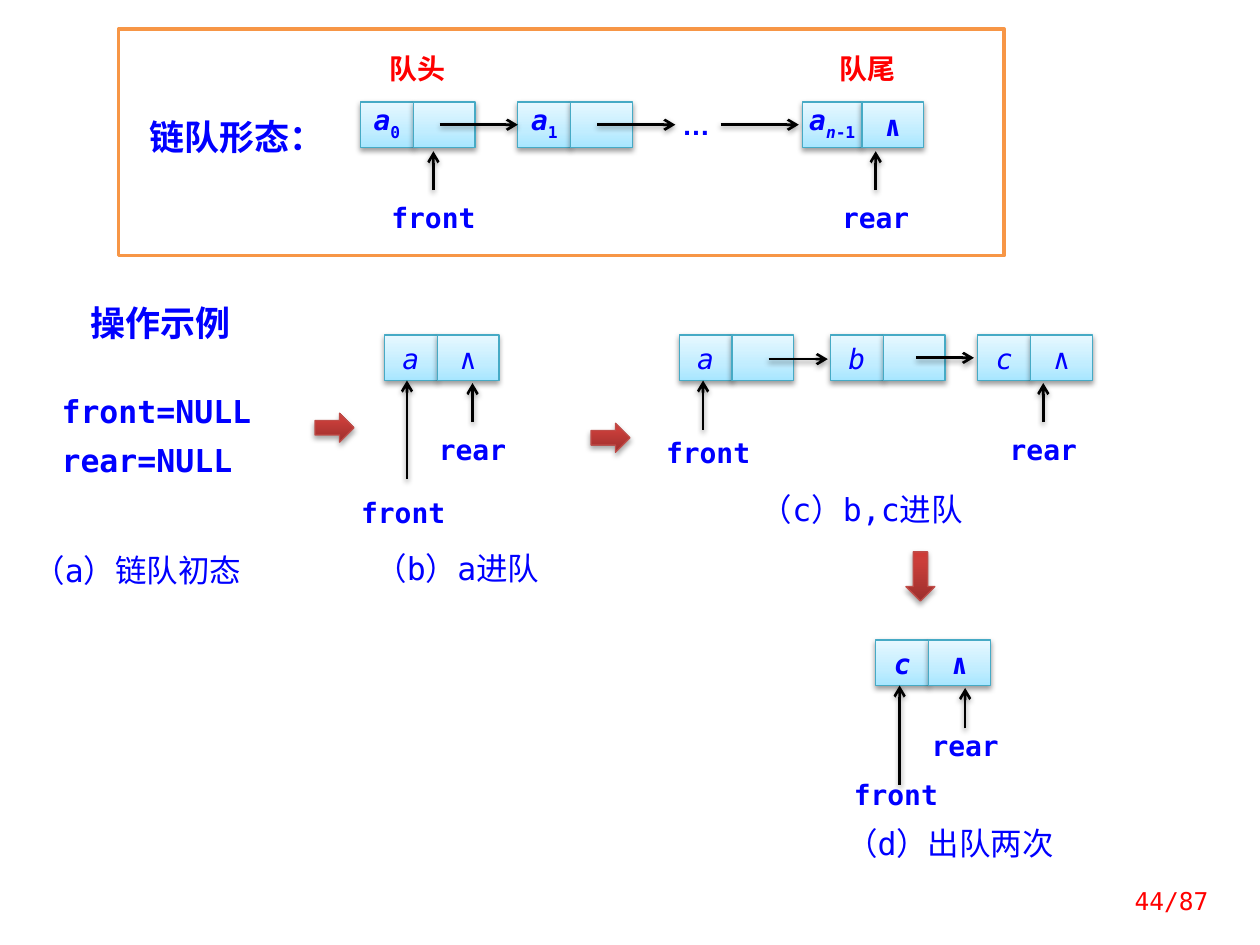
from dataclasses import dataclass
from typing import Any

from lxml import etree
from pptx import Presentation
from pptx.dml.color import RGBColor
from pptx.enum.lang import MSO_LANGUAGE_ID
from pptx.enum.shapes import MSO_CONNECTOR, MSO_SHAPE
from pptx.enum.text import MSO_ANCHOR, PP_ALIGN
from pptx.oxml.ns import qn
from pptx.util import Inches, Pt

RECTANGLE = MSO_SHAPE.RECTANGLE
RIGHT_ARROW = MSO_SHAPE.RIGHT_ARROW
DOWN_ARROW = MSO_SHAPE.DOWN_ARROW
STRAIGHT = MSO_CONNECTOR.STRAIGHT
LEFT = PP_ALIGN.LEFT
CENTER = PP_ALIGN.CENTER
RIGHT = PP_ALIGN.RIGHT
TOP = MSO_ANCHOR.TOP
MIDDLE = MSO_ANCHOR.MIDDLE
CHINESE = MSO_LANGUAGE_ID.SIMPLIFIED_CHINESE

CELL_STOPS = [(0, "A7E6FF"), (35, "C1EDFF"), (100, "E7F8FF")]
BLOCK_STOPS = [(0, "9C2F2D"), (80, "CB3E3A"), (100, "CE3B37")]


def color(value):
    return RGBColor.from_string(value)


def add_element(parent, name, **attributes):
    values = {key: str(value) for key, value in attributes.items()}
    return etree.SubElement(parent, qn(name), values)


def add_shadow(shape, opacity=38, distance=1.6):
    properties = shape._element.spPr
    effects = properties.find(qn("a:effectLst"))
    if effects is None:
        effects = add_element(properties, "a:effectLst")
    outer = add_element(effects, "a:outerShdw", blurRad=Pt(3.1), dist=Pt(distance),
                        dir=90 * 60000, rotWithShape=0)
    black = add_element(outer, "a:srgbClr", val="000000")
    add_element(black, "a:alpha", val=opacity * 1000)


def fill_gradient(shape, stops):
    shape.fill.gradient()
    gradient = shape._element.spPr.find(qn("a:gradFill"))
    for child in list(gradient):
        gradient.remove(child)
    stop_list = add_element(gradient, "a:gsLst")
    for position, value in stops:
        stop = add_element(stop_list, "a:gs", pos=position * 1000)
        add_element(stop, "a:srgbClr", val=value)
    add_element(gradient, "a:lin", ang=270 * 60000, scaled=0)


def write(frame, *lines, size=16, font="DejaVu Sans Mono", fill="0000FF", bold=False,
          align=CENTER, spacing=None, inset=0.0, anchor=TOP):
    frame.word_wrap = True
    frame.vertical_anchor = anchor
    frame.margin_left = frame.margin_right = Inches(inset)
    frame.margin_top = frame.margin_bottom = Inches(inset / 2)
    for index, line in enumerate(lines):
        para = frame.add_paragraph() if index else frame.paragraphs[0]
        para.alignment = align
        para.line_spacing = spacing
        for text, style in ([(line, "")] if isinstance(line, str) else line):
            span = para.add_run()
            span.text = text
            span.font.size = Pt(size)
            span.font.name = font
            span.font.bold = bold
            span.font.italic = "italic" in style
            span.font.color.rgb = color(fill)
            span.font.language_id = CHINESE
            properties = span._r.get_or_add_rPr()
            add_element(properties, "a:ea", typeface=font)
            if "sub" in style:
                properties.set("baseline", "-30000")


@dataclass
class QueueSlide:
    page: Any
    link_width: float = 0.49
    cell_height: float = 0.36

    def shape(self, kind, left, top, width, height):
        box = self.page.shapes.add_shape(
            kind, Inches(left), Inches(top), Inches(width), Inches(height))
        box.shadow.inherit = False
        return box

    def frame(self, left, top, width, height):
        box = self.shape(RECTANGLE, left, top, width, height)
        box.fill.solid()
        box.fill.fore_color.rgb = color("FFFFFF")
        box.line.color.rgb = color("F79646")
        box.line.width = Pt(2)

    def label(self, text, left, top, width=0.78, height=0.37, **style):
        box = self.shape(RECTANGLE, left, top, width, height)
        box.fill.solid()
        box.fill.fore_color.rgb = color("FFFFFF")
        box.line.fill.background()
        write(box.text_frame, text, bold=True, **style)

    def text(self, lines, left, top, width, height, **style):
        box = self.page.shapes.add_textbox(
            Inches(left), Inches(top), Inches(width), Inches(height))
        write(box.text_frame, *lines, **style)

    def caption(self, text, left, top, width=1.8):
        self.text([text], left, top, width, 0.31, size=18, spacing=0.96)

    def cell(self, content, left, top, width, bold):
        box = self.shape(RECTANGLE, left, top, width, self.cell_height)
        fill_gradient(box, CELL_STOPS)
        box.line.color.rgb = color("46AAC5")
        box.line.width = Pt(0.75)
        add_shadow(box)
        if content:
            write(box.text_frame, content, bold=bold, spacing=Pt(23))

    def node(self, name, left, top, subscript=(), last=False, bold=False, width=0.42):
        self.cell([(name, "italic"), *subscript], left, top, width, bold)
        self.cell("∧" if last else "", left + width, top, self.link_width, bold)

    def arrow(self, start_x, start_y, end_x, end_y):
        line = self.page.shapes.add_connector(
            STRAIGHT, Inches(start_x), Inches(start_y), Inches(end_x), Inches(end_y))
        line.line.color.rgb = color("000000")
        line.line.width = Pt(1.5)
        add_element(line.line._get_or_add_ln(), "a:tailEnd", type="arrow")
        add_shadow(line)

    def pointer(self, name, left, top, x, start_y, end_y):
        self.label(name, left, top)
        self.arrow(x, start_y, x, end_y)

    def block_arrow(self, kind, left, top, width=0.31, height=0.23):
        box = self.shape(kind, left, top, width, height)
        fill_gradient(box, BLOCK_STOPS)
        box.line.color.rgb = color("BF4C48")
        box.line.width = Pt(0.75)
        add_shadow(box, opacity=35, distance=1.8)


def draw_queue_form(slide):
    slide.frame(0.94, 0.23, 7.03, 1.8)
    slide.label("队头", 2.86, 0.41, 0.91, 0.36, fill="FF0000")
    slide.label("队尾", 6.34, 0.41, 1.09, 0.36, fill="FF0000")
    slide.label("…", 5.28, 0.85, 0.49, 0.36, font="Arial")
    top = 0.81
    for index, left in enumerate([2.86, 4.11]):
        slide.node("a", left, top, [(str(index), "sub")], bold=True)
    slide.node("a", 6.37, top, [("n", "italic sub"), ("-1", "sub")],
               last=True, bold=True, width=0.47)
    for left in (3.49, 4.74, 5.72):
        slide.arrow(left, 0.99, left + 0.62, 0.99)
    slide.pointer("front", 3.05, 1.59, 3.44, 1.51, 1.2)
    slide.pointer("rear", 6.56, 1.59, 6.95, 1.51, 1.2)
    slide.text(["链队形态："], 1.09, 0.81, 1.56, 0.46, size=20, bold=True,
               align=LEFT, spacing=Pt(28), inset=0.1)


def draw_operations(slide):
    slide.text(["操作示例"], 0.62, 2.34, 1.41, 0.44, size=20, bold=True,
               font="Noto Sans CJK SC", align=LEFT, inset=0.1)
    slide.text(["front=NULL", "rear=NULL"], 0.39, 2.97, 1.72, 0.89, size=18,
               bold=True, align=LEFT, spacing=Pt(28), inset=0.1)
    slide.caption("（a）链队初态", 0.23, 4.39, 1.72)

    top = 2.66
    slide.node("a", 3.05, top, last=True)
    slide.pointer("front", 2.81, 3.93, 3.23, 3.8, 3.02)
    slide.pointer("rear", 3.36, 3.43, 3.75, 3.35, 3.04)
    slide.caption("（b）a进队", 2.89, 4.38, 1.48)

    for name, left in (("a", 5.39), ("b", 6.59), ("c", 7.76)):
        slide.node(name, left, top, last=name == "c")
    slide.arrow(6.1, 2.85, 6.57, 2.85)
    slide.arrow(7.27, 2.84, 7.73, 2.84)
    slide.pointer("front", 5.23, 3.46, 5.58, 3.41, 3.02)
    slide.pointer("rear", 7.89, 3.43, 8.28, 3.35, 3.04)
    slide.caption("（c）b,c进队", 5.94, 3.91)

    slide.node("c", 6.95, 5.08, last=True, bold=True)
    slide.pointer("front", 6.72, 6.17, 7.14, 6.23, 5.44)
    slide.pointer("rear", 7.27, 5.78, 7.66, 5.78, 5.46)
    slide.caption("（d）出队两次", 6.64, 6.56)

    slide.block_arrow(RIGHT_ARROW, 2.5, 3.28)
    slide.block_arrow(RIGHT_ARROW, 4.69, 3.36)
    slide.block_arrow(DOWN_ARROW, 7.19, 4.38, 0.23, 0.39)


def main():
    deck = Presentation()
    deck.slide_width = Inches(10)
    deck.slide_height = Inches(7.5)
    slide = QueueSlide(deck.slides.add_slide(deck.slide_layouts[6]))
    draw_queue_form(slide)
    draw_operations(slide)
    slide.text(["44/87"], 8.67, 6.95, 1.02, 0.4, size=14, fill="FF0000",
               align=RIGHT, inset=0.1, anchor=MIDDLE)
    deck.save("out.pptx")


if __name__ == "__main__":
    main()
